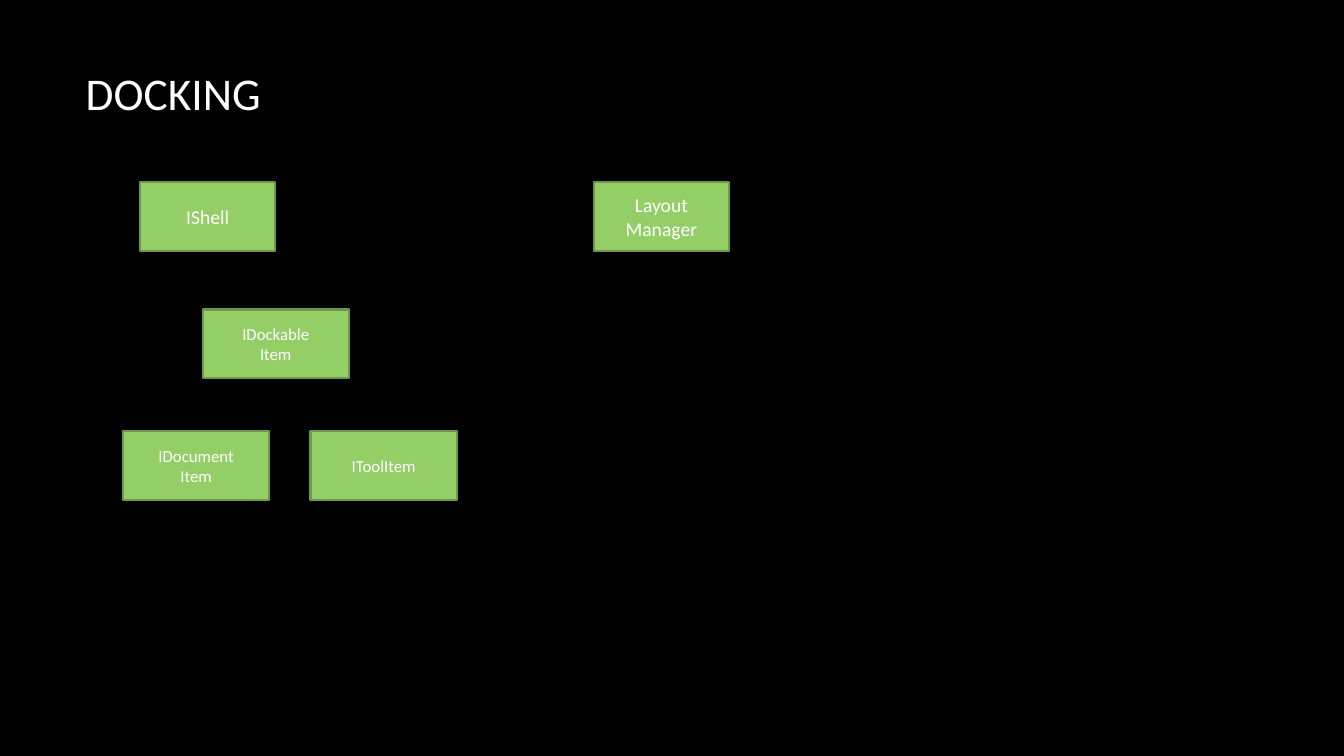
"""Builds the DOCKING slide: a title and five interface boxes in three rows."""
from typing import NamedTuple

from pptx import Presentation
from pptx.dml.color import RGBColor
from pptx.enum.shapes import MSO_SHAPE, PP_PLACEHOLDER
from pptx.enum.text import MSO_ANCHOR, PP_ALIGN
from pptx.slide import Slide, SlideLayout
from pptx.text.text import TextFrame
from pptx.util import Inches, Pt

FONT = "Calibri"
BLACK, WHITE, GREEN, DARK_GREEN = "000000", "FFFFFF", "94CE67", "6D984C"
ROW_TOPS = (1.81, 3.07, 4.28)
BOX_HEIGHT = 0.68


class Style(NamedTuple):
    """Box width in inches and text size in points."""
    width: float
    size: float


class Box(NamedTuple):
    """A box placed by its left edge in inches and its row."""
    lines: tuple[str, ...]
    left: float
    row: int
    style: Style


MAIN = Style(1.34, 14)
ITEM = Style(1.45, 12)
BOXES = (
    Box(("IShell",), 1.39, 0, MAIN),
    Box(("IDockable", "Item"), 2.01, 1, ITEM),
    Box(("IDocument", "Item"), 1.22, 2, ITEM),
    Box(("IToolItem",), 3.08, 2, ITEM),
    Box(("Layout", "Manager"), 5.89, 0, MAIN),
)


def color(value: str) -> RGBColor:
    """Turn a hex string into a colour."""
    return RGBColor.from_string(value)


def keep_title_only(layout: SlideLayout) -> None:
    """Remove the date, footer and number placeholders from a layout."""
    for sp in list(layout.placeholders):
        if sp.placeholder_format.type != PP_PLACEHOLDER.TITLE:
            sp.element.getparent().remove(sp.element)


def write(tf: TextFrame, lines: tuple[str, ...], size: float, align: PP_ALIGN) -> None:
    """Write one paragraph per line, centred vertically."""
    tf.word_wrap = True
    tf.vertical_anchor = MSO_ANCHOR.MIDDLE
    for i, line in enumerate(lines):
        p = tf.add_paragraph() if i else tf.paragraphs[0]
        p.alignment = align
        r = p.add_run()
        r.text = line
        r.font.name = FONT
        r.font.size = Pt(size)
        r.font.color.rgb = color(WHITE)


def add_title(s: Slide, text: str) -> None:
    """Place and format the title placeholder."""
    sp = s.shapes.title
    sp.left, sp.top = Inches(0.75), Inches(0.67)
    sp.width, sp.height = Inches(11.08), Inches(0.5)
    write(sp.text_frame, (text,), 32.4, PP_ALIGN.LEFT)


def add_box(s: Slide, box: Box) -> None:
    """Draw one green interface box."""
    sp = s.shapes.add_shape(
        MSO_SHAPE.RECTANGLE, Inches(box.left), Inches(ROW_TOPS[box.row]),
        Inches(box.style.width), Inches(BOX_HEIGHT))
    sp.shadow.inherit = False
    sp.fill.solid()
    sp.fill.fore_color.rgb = color(GREEN)
    sp.line.color.rgb = color(DARK_GREEN)
    sp.line.width = Pt(1.5)
    write(sp.text_frame, box.lines, box.style.size, PP_ALIGN.CENTER)


def main() -> None:
    """Build and save the slide."""
    prs = Presentation()
    prs.slide_width, prs.slide_height = Inches(13.33), Inches(7.5)
    layout = prs.slide_layouts.get_by_name("Title Only")
    keep_title_only(layout)
    s = prs.slides.add_slide(layout)
    s.background.fill.solid()
    s.background.fill.fore_color.rgb = color(BLACK)
    add_title(s, "DOCKING")
    for box in BOXES:
        add_box(s, box)
    prs.save("out.pptx")


main()
